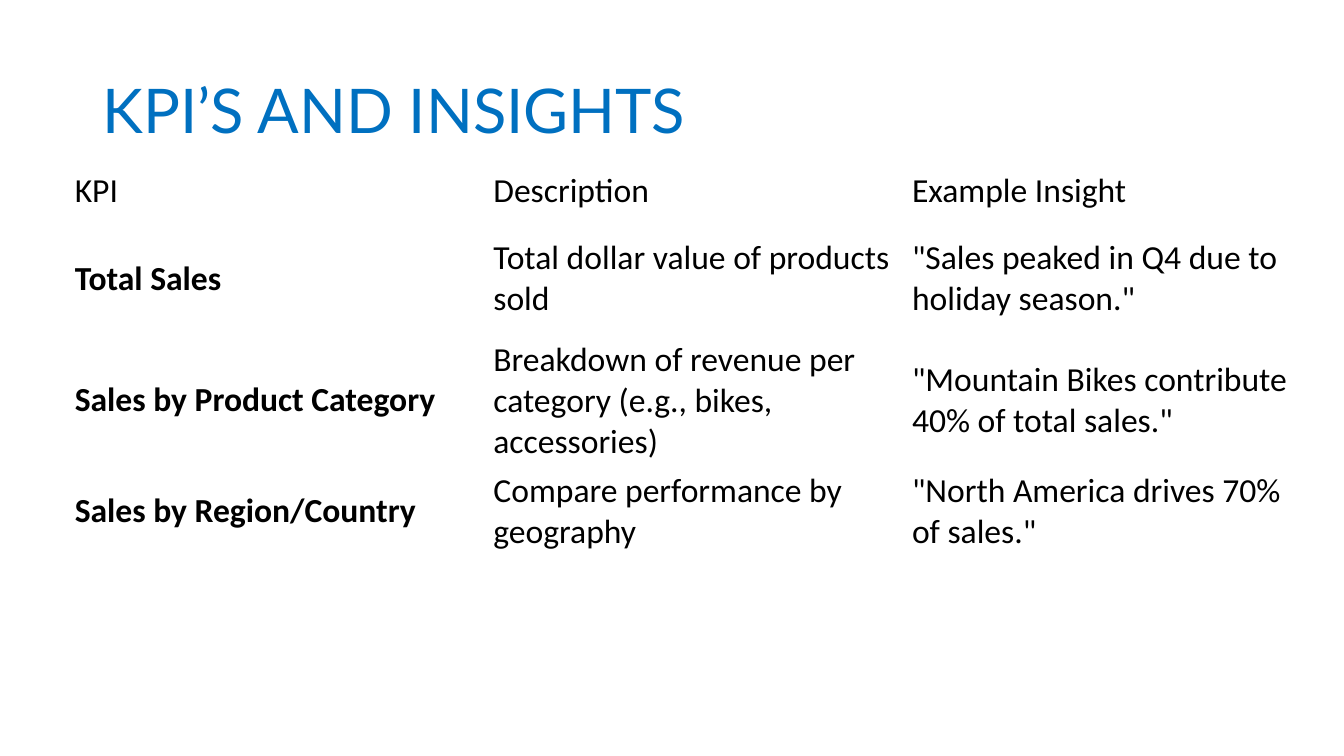
"""Build the KPI and insights slide with its title and table."""
from pptx import Presentation
from pptx.dml.color import RGBColor
from pptx.enum.text import MSO_ANCHOR
from pptx.util import Cm, Pt

COLORS = {"title": "0070C0", "text": "000000"}
ROWS = [
    ("KPI", "Description", "Example Insight"),
    ("Total Sales", "Total dollar value of products sold",
     '"Sales peaked in Q4 due to holiday season."'),
    ("Sales by Product Category",
     "Breakdown of revenue per category (e.g., bikes, accessories)",
     '"Mountain Bikes contribute 40% of total sales."'),
    ("Sales by Region/Country", "Compare performance by geography",
     '"North America drives 70% of sales."'),
    ("", "", ""),
    ("", "", ""),
]
ROW_HEIGHTS = [1.6, 2.82, 2.82, 2.16, 2.16, 2.16]
COLUMN_WIDTH = 10.55


def set_font(p, name, size, color, bold=False):
    p.font.name = name
    p.font.size = Pt(size)
    p.font.bold = bold
    p.font.color.rgb = RGBColor.from_string(COLORS[color])


prs = Presentation()
prs.slide_width, prs.slide_height = Cm(33.87), Cm(19.05)
s = prs.slides.add_slide(prs.slide_layouts[6])

sp = s.shapes.add_textbox(Cm(2.33), Cm(1.01), Cm(29.21), Cm(3.68))
tf = sp.text_frame
tf.word_wrap = True
tf.vertical_anchor = MSO_ANCHOR.MIDDLE
p = tf.paragraphs[0]
p.text = "KPI’S AND INSIGHTS"
p.line_spacing = 0.9
set_font(p, "Lato", 44, "title")

table = s.shapes.add_table(len(ROWS), 3, Cm(1.63), Cm(4.01),
                           Cm(3 * COLUMN_WIDTH), Cm(sum(ROW_HEIGHTS))).table
table.first_row = False
table.horz_banding = False
for column in table.columns:
    column.width = Cm(COLUMN_WIDTH)
for i, (texts, height) in enumerate(zip(ROWS, ROW_HEIGHTS)):
    table.rows[i].height = Cm(height)
    for j, text in enumerate(texts):
        cell = table.cell(i, j)
        cell.fill.background()
        cell.vertical_anchor = MSO_ANCHOR.MIDDLE
        p = cell.text_frame.paragraphs[0]
        p.text = text
        set_font(p, "Calibri", 24, "text", bold=i > 0 and j == 0)

prs.save("out.pptx")
